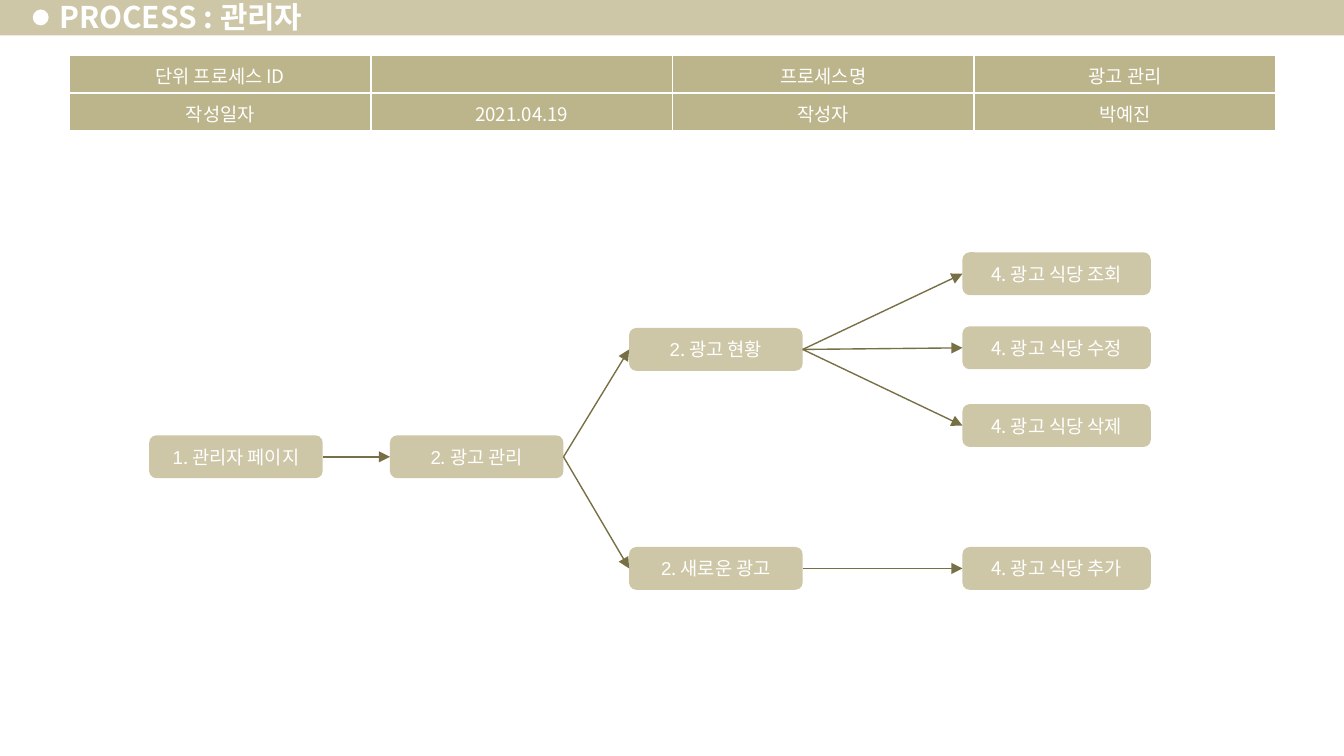
"""Build the admin process slide: title bar, info table and flow of steps."""
import pptx
import pptx.dml.color
import pptx.enum.shapes
import pptx.enum.text
import pptx.oxml
import pptx.oxml.ns
import pptx.util
from dataclasses import dataclass
from lxml import etree

Cm, Pt = pptx.util.Cm, pptx.util.Pt
RGB = pptx.dml.color.RGBColor.from_string
KIND = pptx.enum.shapes.MSO_SHAPE
qn = pptx.oxml.ns.qn


@dataclass(frozen=True)
class Theme:
    bar: str = "CDC7A7"
    cell: str = "BCB48A"
    line: str = "776F45"
    white: str = "FFFFFF"
    font: str = "Noto Sans CJK KR"
    digit: str = "Arial"
    head: int = 16
    body: int = 10
    rule: float = 0.75


THEME = Theme()
TITLE = "PROCESS : 관리자"
INFO = [
    ["단위 프로세스 ID", "", "프로세스명", "광고 관리"],
    ["작성일자", "2021.04.19", "작성자", "박예진"],
]
COLS = [(2.82, 3.28), (7.37, 3.28), (11.89, 3.28), (18.19, 3.56)]
HIGH = 0.81
STEPS = {
    "admin": (0, 8.23, ["1", ". 관리자 페이지"]),
    "manage": (1, 8.23, ["2", ". 광고 관리"]),
    "status": (2, 6.2, ["2", ". 광고 현황"]),
    "new": (2, 10.34, ["2", ". 새로운 광고"]),
    "view": (3, 4.77, ["4. 광고 식당 조회"]),
    "edit": (3, 6.17, ["4. 광고 식당 수정"]),
    "delete": (3, 7.64, ["4. 광고 식당 삭제"]),
    "add": (3, 10.34, ["4. 광고 식당 추가"]),
}
LINKS = {
    "admin": ["manage"],
    "manage": ["status", "new"],
    "status": ["view", "edit", "delete"],
    "new": ["add"],
}


def style(run, size, name=THEME.font, bold=False):
    font = run.font
    font.size, font.bold, font.name = Pt(size), bold, name
    font.color.rgb = RGB(THEME.white)
    etree.SubElement(run._r.rPr, qn("a:ea"), typeface=THEME.font)


def block(slide, kind, box, fill):
    shape = slide.shapes.add_shape(kind, *map(Cm, box))
    shape.shadow.inherit = False
    shape.fill.solid()
    shape.fill.fore_color.rgb = RGB(fill)
    shape.line.fill.background()
    return shape


def header(slide):
    block(slide, KIND.RECTANGLE, (0, -0.04, 25.4, 0.71), THEME.bar)
    block(slide, KIND.OVAL, (0.62, 0.18, 0.3, 0.3), THEME.white)
    box = slide.shapes.add_textbox(*map(Cm, (0.89, -0.1, 6.12, 0.81)))
    frame = box.text_frame
    frame.word_wrap = True
    frame.vertical_anchor = pptx.enum.text.MSO_ANCHOR.MIDDLE
    frame.margin_left = frame.margin_right = Cm(0.23)
    frame.margin_top = frame.margin_bottom = Cm(0.1)
    frame.text = TITLE
    style(frame.paragraphs[0].runs[0], THEME.head, bold=True)


def border(cell):
    props = cell._tc.get_or_add_tcPr()
    for spot, side in enumerate("LRTB"):
        line = pptx.oxml.parse_xml(
            f'<a:ln{side} {pptx.oxml.ns.nsdecls("a")} w="{Pt(1)}"><a:solidFill>'
            f'<a:srgbClr val="{THEME.white}"/></a:solidFill></a:ln{side}>')
        props.insert(spot, line)


def grid(slide):
    rows, cols = len(INFO), len(INFO[0])
    area = map(Cm, (1.31, 1.05, 5.7 * cols, 0.71 * rows))
    table = slide.shapes.add_table(rows, cols, *area).table
    for cell, text in zip(table.iter_cells(), sum(INFO, [])):
        cell.fill.solid()
        cell.fill.fore_color.rgb = RGB(THEME.cell)
        cell.vertical_anchor = pptx.enum.text.MSO_ANCHOR.MIDDLE
        border(cell)
        para = cell.text_frame.paragraphs[0]
        para.text = text
        para.alignment = pptx.enum.text.PP_ALIGN.CENTER
        for run in para.runs:
            style(run, THEME.body)
        if not text:
            para._p.get_or_add_endParaRPr().set("sz", str(THEME.body * 100))


def step(slide, col, top, parts):
    left, wide = COLS[col]
    box = (left, top, wide, HIGH)
    shape = block(slide, KIND.ROUNDED_RECTANGLE, box, THEME.bar)
    shape.adjustments[0] = 0.17
    frame = shape.text_frame
    frame.vertical_anchor = pptx.enum.text.MSO_ANCHOR.MIDDLE
    para = frame.paragraphs[0]
    para.alignment = pptx.enum.text.PP_ALIGN.CENTER
    for part in parts:
        run = para.add_run()
        run.text = part
        style(run, THEME.body, THEME.digit if part.isdigit() else THEME.font)
    return shape


def link(slide, start, end):
    kind = pptx.enum.shapes.MSO_CONNECTOR.STRAIGHT
    line = slide.shapes.add_connector(kind, 0, 0, 0, 0)
    line.begin_connect(start, 3)
    line.end_connect(end, 1)
    line.line.color.rgb = RGB(THEME.line)
    line.line.width = Pt(THEME.rule)
    props = line._element.spPr
    etree.SubElement(props.find(qn("a:ln")), qn("a:tailEnd"), type="triangle")
    etree.SubElement(props, qn("a:effectLst"))


def main():
    deck = pptx.Presentation()
    deck.slide_width, deck.slide_height = Cm(25.4), Cm(14.29)
    slide = deck.slides.add_slide(deck.slide_layouts[6])
    header(slide)
    grid(slide)
    nodes = {key: step(slide, *spec) for key, spec in STEPS.items()}
    for start, ends in LINKS.items():
        for end in ends:
            link(slide, nodes[start], nodes[end])
    deck.save("out.pptx")


if __name__ == "__main__":
    main()
